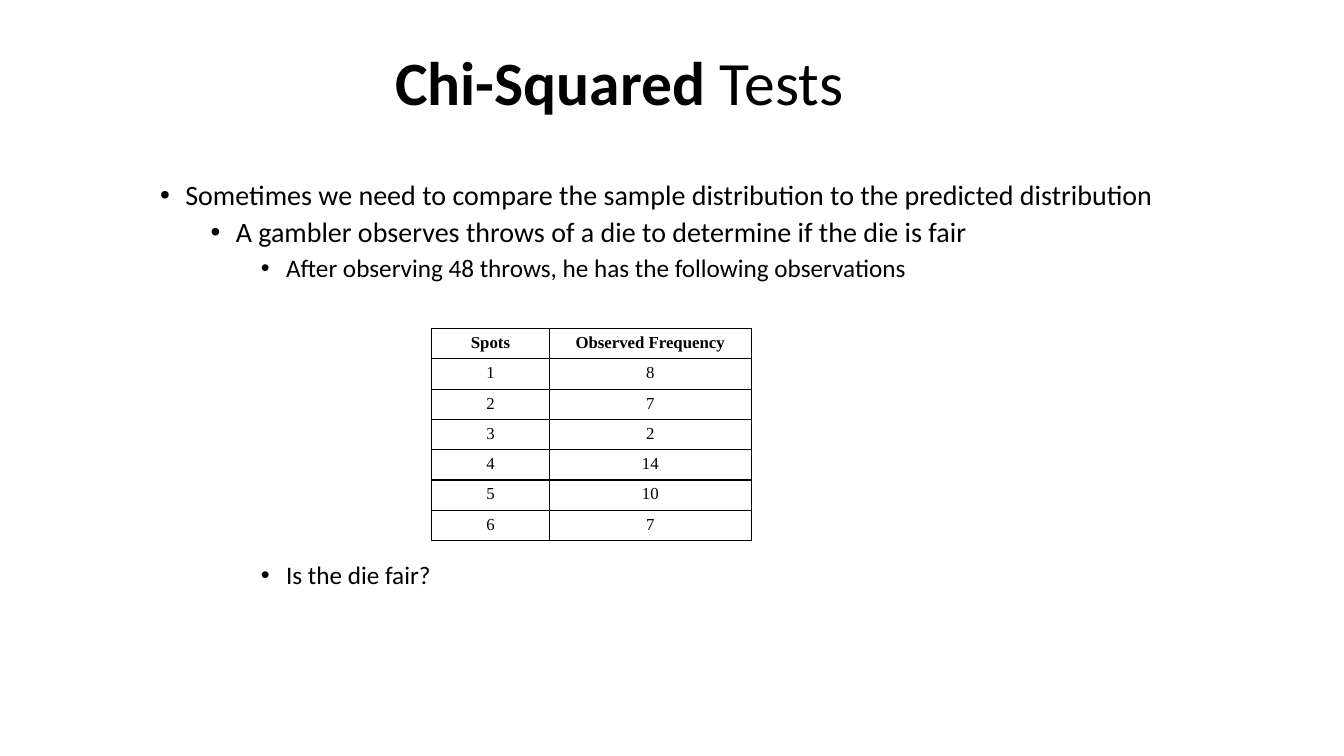
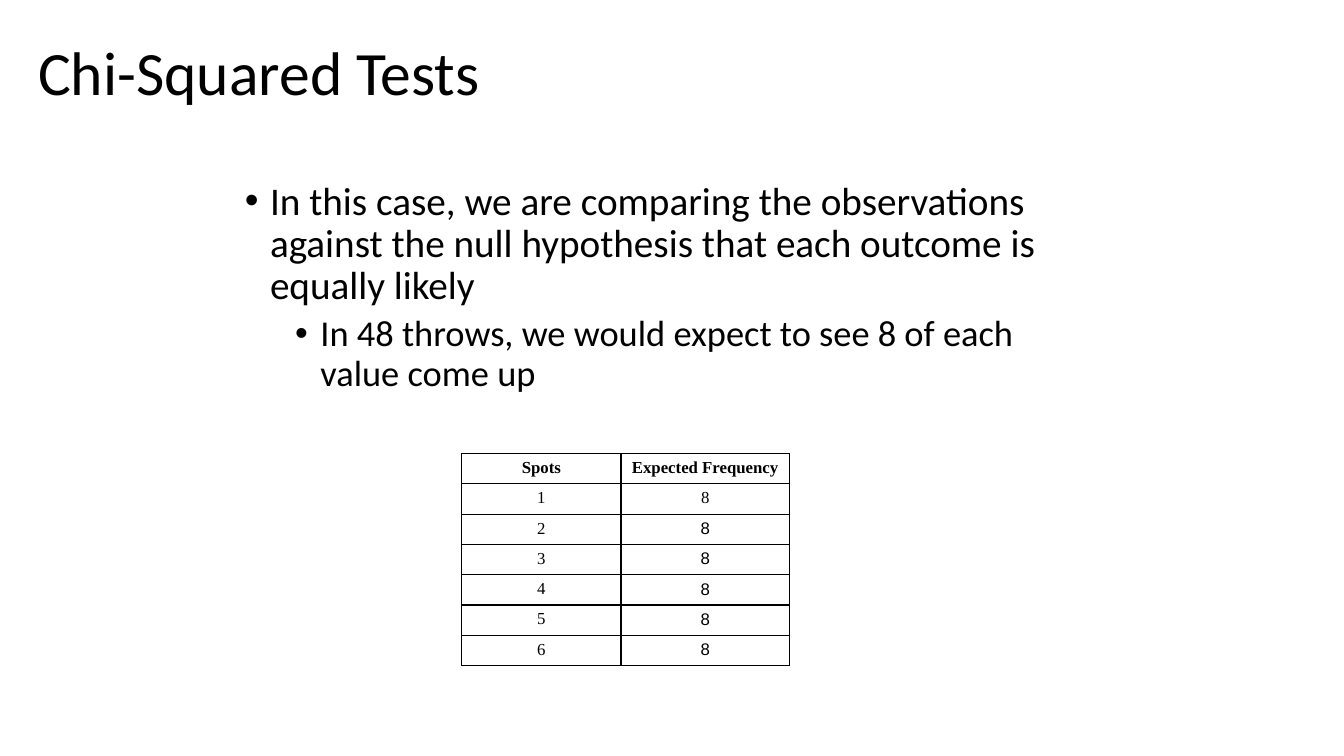
from lxml.etree import SubElement
from pptx import Presentation
from pptx.dml.color import RGBColor
from pptx.enum.text import MSO_ANCHOR as ANCHOR, PP_ALIGN as ALIGN
from pptx.oxml.ns import qn
from pptx.util import Emu, Pt

PX = 9144  # 100 px to the inch
COLORS = {"page": "FFFFFF", "text": "000000", "grid": "000000"}
SANS, SERIF, PLAIN = "Calibri", "Times New Roman", "Arial"
TITLE_SIZE, CELL_SIZE = 44, 12
LINE_SPACING = 0.9
LEVEL_GAP = 5
HANG, LEVEL_STEP = 25, 50
ROW_H = 30


def px(n):
    return Emu(n * PX)


def add_run(p, text, size, font=SANS, bold=False):
    r = p.add_run()
    r.text = text
    r.font.size, r.font.name, r.font.bold = Pt(size), font, bold
    r.font.color.rgb = RGBColor.from_string(COLORS["text"])


def add_text_frame(s, box, anchor):
    tf = s.shapes.add_textbox(*map(px, box)).text_frame
    tf.word_wrap = True
    tf.vertical_anchor = anchor
    return tf


def add_title(s, box, parts):
    """parts: (text, bold) pairs on one line."""
    p = add_text_frame(s, box, ANCHOR.MIDDLE).paragraphs[0]
    p.line_spacing = LINE_SPACING
    for text, bold in parts:
        add_run(p, text, TITLE_SIZE, bold=bold)


def set_bullet(p, level):
    pPr = p._p.get_or_add_pPr()
    pPr.set("marL", str(px(HANG + level * LEVEL_STEP)))
    pPr.set("indent", str(-px(HANG)))
    SubElement(pPr, qn("a:buFont"), typeface=PLAIN)
    SubElement(pPr, qn("a:buChar"), char="•")


def add_bullets(s, box, items):
    """items: (level, size, space before, text)."""
    tf = add_text_frame(s, box, ANCHOR.TOP)
    for i, (level, size, before, text) in enumerate(items):
        p = tf.add_paragraph() if i else tf.paragraphs[0]
        p.level = level
        set_bullet(p, level)
        p.line_spacing = LINE_SPACING
        p.space_before = Pt(before)
        add_run(p, text, size)


def set_borders(cell):
    tcPr = cell._tc.get_or_add_tcPr()
    for side in ("lnL", "lnR", "lnT", "lnB"):
        ln = SubElement(tcPr, qn(f"a:{side}"), w=str(Pt(1)))
        fill = SubElement(ln, qn("a:solidFill"))
        SubElement(fill, qn("a:srgbClr"), val=COLORS["grid"])


def add_frequency_table(s, left, top, widths, header, counts, plain_from=None):
    """One row per die face; counts from face plain_from on use the plain font."""
    rows = [("Spots", header), *enumerate(counts, 1)]
    tbl = s.shapes.add_table(len(rows), len(widths), px(left), px(top),
                             px(sum(widths)), px(ROW_H * len(rows))).table
    tbl.first_row = tbl.horz_banding = False
    for col, width in zip(tbl.columns, widths):
        col.width = px(width)
    for i, row in enumerate(rows):
        tbl.rows[i].height = px(ROW_H)
        for j, value in enumerate(row):
            cell = tbl.cell(i, j)
            set_borders(cell)
            cell.fill.background()
            p = cell.text_frame.paragraphs[0]
            p.alignment = ALIGN.CENTER
            plain = plain_from and j == 1 and i >= plain_from
            add_run(p, str(value), CELL_SIZE, PLAIN if plain else SERIF, bold=i == 0)


def add_slide(prs):
    s = prs.slides.add_slide(prs.slide_layouts[6])
    s.background.fill.solid()
    s.background.fill.fore_color.rgb = RGBColor.from_string(COLORS["page"])
    return s


def observed_slide(prs):
    s = add_slide(prs)
    add_title(s, (382, 35, 544, 100), [("Chi-Squared", True), (" Tests", False)])
    # The last bullet clears the table
    add_bullets(s, (149, 175, 1057, 483), [
        (0, 20, 0, "Sometimes we need to compare the sample distribution "
                   "to the predicted distribution"),
        (1, 20, LEVEL_GAP, "A gambler observes throws of a die to determine if the die is fair"),
        (2, 18, LEVEL_GAP, "After observing 48 throws, he has the following observations"),
        (2, 18, 200, "Is the die fair?"),
    ])
    add_frequency_table(s, 428, 326, (117, 200), "Observed Frequency", (8, 7, 2, 14, 10, 7))


def expected_slide(prs):
    s = add_slide(prs)
    add_title(s, (28, 25, 1169, 100), [("Chi-Squared Tests", False)])
    add_bullets(s, (233, 175, 817, 483), [
        (0, 28, 0, "In this case, we are comparing the observations against "
                   "the null hypothesis that each outcome is equally likely"),
        (1, 26, LEVEL_GAP, "In 48 throws, we would expect to see 8 of each value come up"),
    ])
    add_frequency_table(s, 458, 450, (158, 167), "Expected Frequency", [8] * 6, plain_from=2)


def main():
    prs = Presentation()
    prs.slide_width, prs.slide_height = px(1333), px(750)
    observed_slide(prs)
    expected_slide(prs)
    prs.save("out.pptx")


if __name__ == "__main__":
    main()
